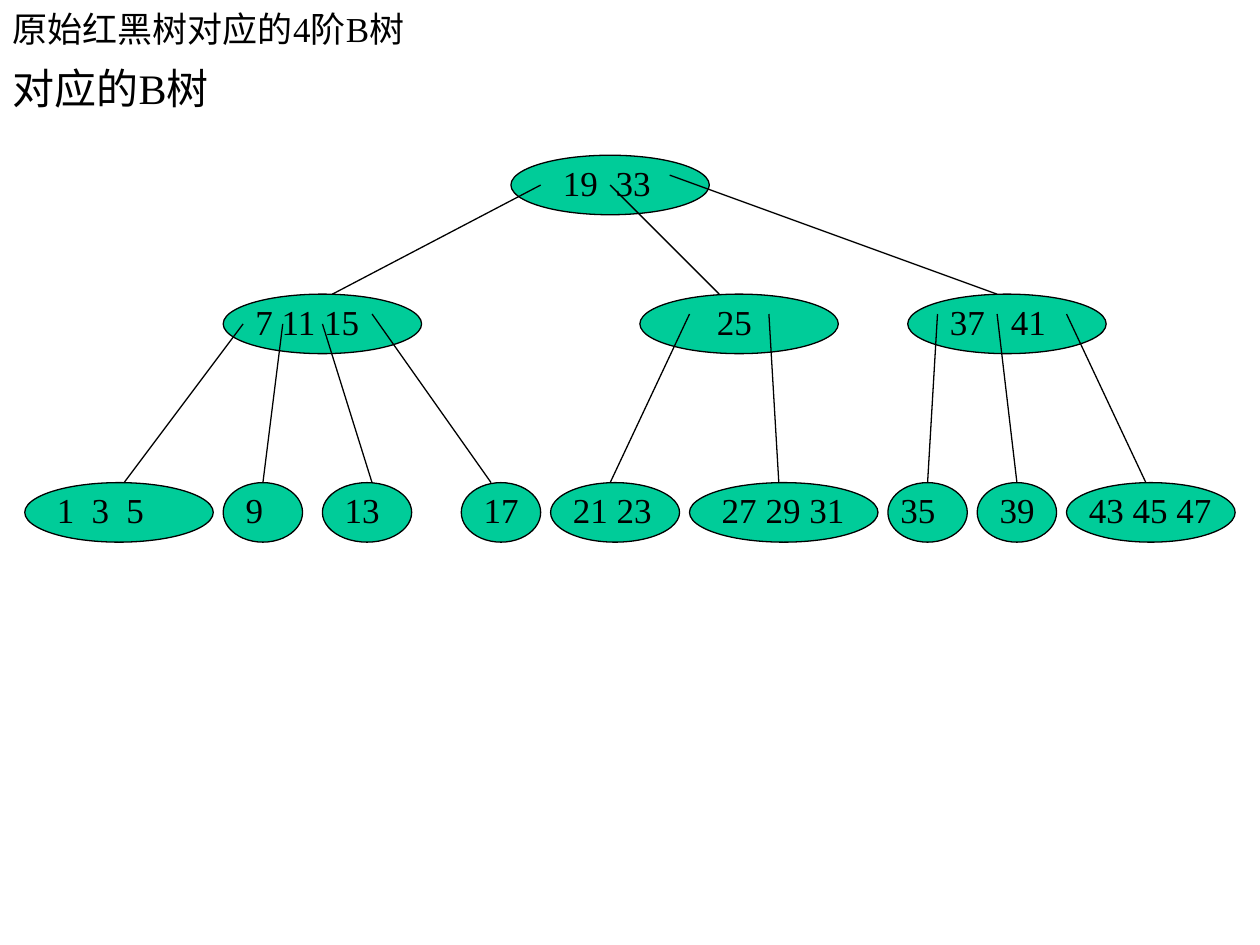
"""Builds a slide showing the 4th-order B-tree that matches a red-black tree."""
import pptx
import pptx.dml.color
import pptx.enum.shapes
import pptx.enum.text
import pptx.oxml.ns
import pptx.util
from lxml import etree
from pptx.util import Cm, Pt

BLACK = pptx.dml.color.RGBColor(0x00, 0x00, 0x00)
GREEN = pptx.dml.color.RGBColor(0x00, 0xCC, 0x99)
FONT = "Times New Roman"
NODE_HEIGHT = 1.2
LABEL_HEIGHT = 1.12
LEVEL_TOPS = (3.13, 5.93, 9.73)

# level, node left, node width, label left, label width, keys, tab stops, indent
NODES = (
    (0, 10.3, 4, 11.1, 2.6, "19\t33", (1.06,), 0),
    (1, 4.5, 4, 4.9, 3, "7 11 15", (), 0),
    (1, 12.9, 4, 13.5, 2.6, "25", (), 0.7),
    (1, 18.3, 4, 18.9, 2.6, "37\t41", (1.23,), 0),
    (2, 0.5, 3.8, 0.9, 3, "1\t3\t5", (0.7, 1.4), 0),
    (2, 4.5, 1.6, 4.7, 1, "9", (), 0),
    (2, 6.5, 1.8, 6.7, 1.4, "13", (), 0),
    (2, 9.3, 1.6, 9.5, 1.4, "17", (), 0),
    (2, 11.1, 2.6, 11.3, 2.2, "21 23", (), 0),
    (2, 13.9, 3.8, 14.3, 3, "27 29 31", (), 0),
    (2, 17.9, 1.6, 17.9, 1.4, "35", (), 0),
    (2, 19.7, 1.6, 19.9, 1.4, "39", (), 0),
    (2, 21.5, 3.4, 21.7, 3, "43 45 47", (), 0),
)

# parent level, start x, start depth inside the parent, end x
BRANCHES = (
    (0, 10.9, 0.6, 6.7),
    (0, 12.3, 0.6, 14.5),
    (0, 13.5, 0.4, 20.1),
    (1, 4.9, 0.6, 2.5),
    (1, 5.7, 0.6, 5.3),
    (1, 6.5, 0.6, 7.5),
    (1, 7.5, 0.4, 9.9),
    (1, 13.9, 0.4, 12.3),
    (1, 15.5, 0.4, 15.7),
    (1, 18.9, 0.4, 18.7),
    (1, 20.1, 0.4, 20.5),
    (1, 21.5, 0.4, 23.1),
)


class TreeSlide:
    def __init__(self, slide):
        self.slide = slide
        self.shapes = slide.shapes
        self.top_centres = {}

    def add_property(self, parent, tag, **attributes):
        return etree.SubElement(parent, pptx.oxml.ns.qn(tag), attributes)

    def style(self, paragraph, size):
        paragraph.alignment = pptx.enum.text.PP_ALIGN.LEFT
        paragraph.space_before = Pt(0)
        for run in paragraph.runs:
            run.font.size = Pt(size)
            run.font.name = FONT
            run.font.color.rgb = BLACK

    def placeholder(self, index, text, box, size, anchor):
        holder = self.slide.placeholders[index]
        holder.left, holder.top, holder.width, holder.height = map(Cm, box)
        frame = holder.text_frame
        frame.text = text
        frame.auto_size = pptx.enum.text.MSO_AUTO_SIZE.NONE
        frame.vertical_anchor = anchor
        paragraph = frame.paragraphs[0]
        self.add_property(paragraph._p.get_or_add_pPr(), "a:buNone")
        self.style(paragraph, size)
        return paragraph

    def heading(self, text):
        self.placeholder(0, text, (0, 0, 21.6, 1.13), 20,
                         pptx.enum.text.MSO_ANCHOR.MIDDLE)

    def body(self, text):
        paragraph = self.placeholder(1, text, (0, 1.13, 24.9, 17.2), 24,
                                     pptx.enum.text.MSO_ANCHOR.TOP)
        properties = paragraph._p.get_or_add_pPr()
        properties.set("marL", str(Cm(0.95)))
        properties.set("indent", str(-Cm(0.95)))

    def node(self, level, left, width):
        top = LEVEL_TOPS[level]
        ellipse = self.shapes.add_shape(
            pptx.enum.shapes.MSO_SHAPE.OVAL,
            Cm(left), Cm(top), Cm(width), Cm(NODE_HEIGHT))
        ellipse.shadow.inherit = False
        ellipse.fill.solid()
        ellipse.fill.fore_color.rgb = GREEN
        ellipse.line.color.rgb = BLACK
        ellipse.line.width = Pt(0.75)
        self.top_centres[level, round(left + width / 2, 2)] = ellipse

    def keys(self, level, left, width, text, stops, indent):
        label = self.shapes.add_textbox(
            Cm(left), Cm(LEVEL_TOPS[level]), Cm(width), Cm(LABEL_HEIGHT))
        frame = label.text_frame
        frame.word_wrap = True
        frame.auto_size = pptx.enum.text.MSO_AUTO_SIZE.SHAPE_TO_FIT_TEXT
        frame.text = text
        paragraph = frame.paragraphs[0]
        properties = paragraph._p.get_or_add_pPr()
        if indent:
            properties.set("marL", str(Cm(indent)))
        if stops:
            tab_list = self.add_property(properties, "a:tabLst")
            for stop in stops:
                self.add_property(tab_list, "a:tab", pos=str(Cm(stop)), algn="l")
        self.style(paragraph, 20)

    def branch(self, level, start_x, depth, end_x):
        line = self.shapes.add_connector(
            pptx.enum.shapes.MSO_CONNECTOR.STRAIGHT,
            Cm(start_x), Cm(LEVEL_TOPS[level] + depth),
            Cm(end_x), Cm(LEVEL_TOPS[level + 1]))
        line.line.color.rgb = BLACK
        line.line.width = Pt(0.75)
        self.add_property(line._element.spPr, "a:effectLst")
        child = self.top_centres.get((level + 1, end_x))
        if child is not None:
            line.end_connect(child, 0)


def main():
    deck = pptx.Presentation()
    deck.slide_width, deck.slide_height = Cm(25.4), Cm(19.05)
    tree = TreeSlide(deck.slides.add_slide(deck.slide_layouts[1]))
    tree.heading("原始红黑树对应的4阶B树")
    tree.body("对应的B树")
    for level, left, width, *label in NODES:
        tree.node(level, left, width)
        tree.keys(level, *label)
    for branch in BRANCHES:
        tree.branch(*branch)
    deck.save("out.pptx")


if __name__ == "__main__":
    main()
